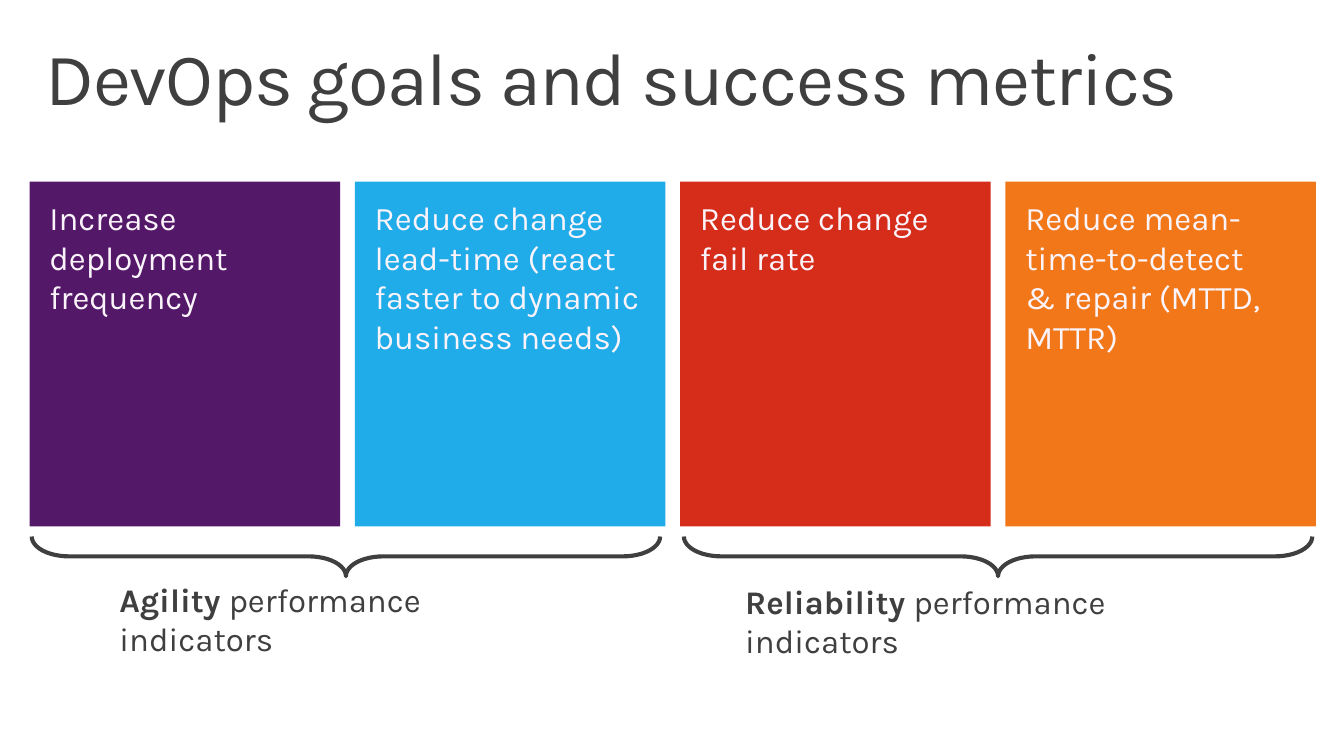
from pptx import Presentation
from pptx.dml.color import RGBColor
from pptx.enum.shapes import MSO_SHAPE
from pptx.enum.text import MSO_ANCHOR, PP_ALIGN
from pptx.util import Cm, Pt

COLORS = {
    "ink": "3F3F3F",
    "card_text": "FAF4FA",
    "purple": "541868",
    "blue": "20ABE9",
    "red": "D52D1A",
    "orange": "F17719",
}
GOALS = [
    ("purple", ["Increase", "deployment", "frequency"]),
    ("blue", ["Reduce change lead-time (react faster to dynamic business needs)"]),
    ("red", ["Reduce change", "fail rate"]),
    ("orange", ["Reduce mean-time-to-detect", "& repair (MTTD, MTTR)"]),
]
INDICATORS = [
    ("Agility ", 8.89, 2.82, 14.76, 12.17),
    ("Reliability ", 25.65, 18.9, 14.81, 13.51),
]
CARD_LEFT, CARD_TOP, CARD_PITCH = 0.76, 4.67, 8.36
CARD_WIDTH, CARD_HEIGHT = 7.98, 8.86
BRACE_MIDDLE, BRACE_DEPTH, BRACE_SPAN = 14.3, 1.02, 16.15


class GoalsSlide:
    """Draws the elements of one slide in a shared style."""

    font = "Karla"
    body_size = 24
    title_size = 54

    def __init__(self, slide):
        self.slide = slide

    def color(self, name):
        return RGBColor.from_string(COLORS[name])

    def frame(self, shape, side, edge):
        frame = shape.text_frame
        frame.word_wrap = True
        frame.vertical_anchor = MSO_ANCHOR.TOP
        frame.margin_left = frame.margin_right = Cm(side)
        frame.margin_top = frame.margin_bottom = Cm(edge)
        frame.paragraphs[0].alignment = PP_ALIGN.LEFT
        return frame.paragraphs[0]

    def run(self, paragraph, words, color="ink", size=body_size, bold=False):
        run = paragraph.add_run()
        run.text = words
        run.font.name = self.font
        run.font.size = Pt(size)
        run.font.bold = bold
        run.font.color.rgb = self.color(color)
        return run

    def title(self, words):
        heading = self.slide.shapes.add_textbox(Cm(0.76), Cm(0.81), Cm(33.02), Cm(2.54))
        paragraph = self.frame(heading, 0.41, 0.25)
        paragraph.line_spacing = 0.9
        run = self.run(paragraph, words, size=self.title_size)
        run.font._element.set("spc", "-100")

    def card(self, left, fill, lines):
        card = self.slide.shapes.add_shape(
            MSO_SHAPE.RECTANGLE, Cm(left), Cm(CARD_TOP), Cm(CARD_WIDTH), Cm(CARD_HEIGHT))
        card.shadow.inherit = False
        card.fill.solid()
        card.fill.fore_color.rgb = self.color(fill)
        card.line.fill.background()
        paragraph = self.frame(card, 0.51, 0.41)
        for number, line in enumerate(lines):
            if number:
                paragraph.add_line_break()
            self.run(paragraph, line, "card_text")

    def brace(self, center):
        brace = self.slide.shapes.add_shape(
            MSO_SHAPE.RIGHT_BRACE,
            Cm(center - BRACE_DEPTH / 2), Cm(BRACE_MIDDLE - BRACE_SPAN / 2),
            Cm(BRACE_DEPTH), Cm(BRACE_SPAN))
        brace.rotation = 90
        brace.adjustments[0] = 0.94
        brace.adjustments[1] = 0.5
        brace.shadow.inherit = False
        brace.fill.background()
        brace.line.color.rgb = self.color("ink")
        brace.line.width = Pt(3)

    def label(self, kind, left, top, width):
        label = self.slide.shapes.add_textbox(Cm(left), Cm(top), Cm(width), Cm(1.27))
        paragraph = self.frame(label, 0.25, 0.13)
        self.run(paragraph, kind, bold=True)
        self.run(paragraph, "performance indicators")


def main():
    deck = Presentation()
    deck.slide_width, deck.slide_height = Cm(34.54), Cm(19.43)
    goals = GoalsSlide(deck.slides.add_slide(deck.slide_layouts[6]))
    goals.title("DevOps goals and success metrics")
    for column, (fill, lines) in enumerate(GOALS):
        goals.card(CARD_LEFT + column * CARD_PITCH, fill, lines)
    for kind, center, left, top, width in INDICATORS:
        goals.brace(center)
        goals.label(kind, left, top, width)
    deck.save("out.pptx")


if __name__ == "__main__":
    main()
